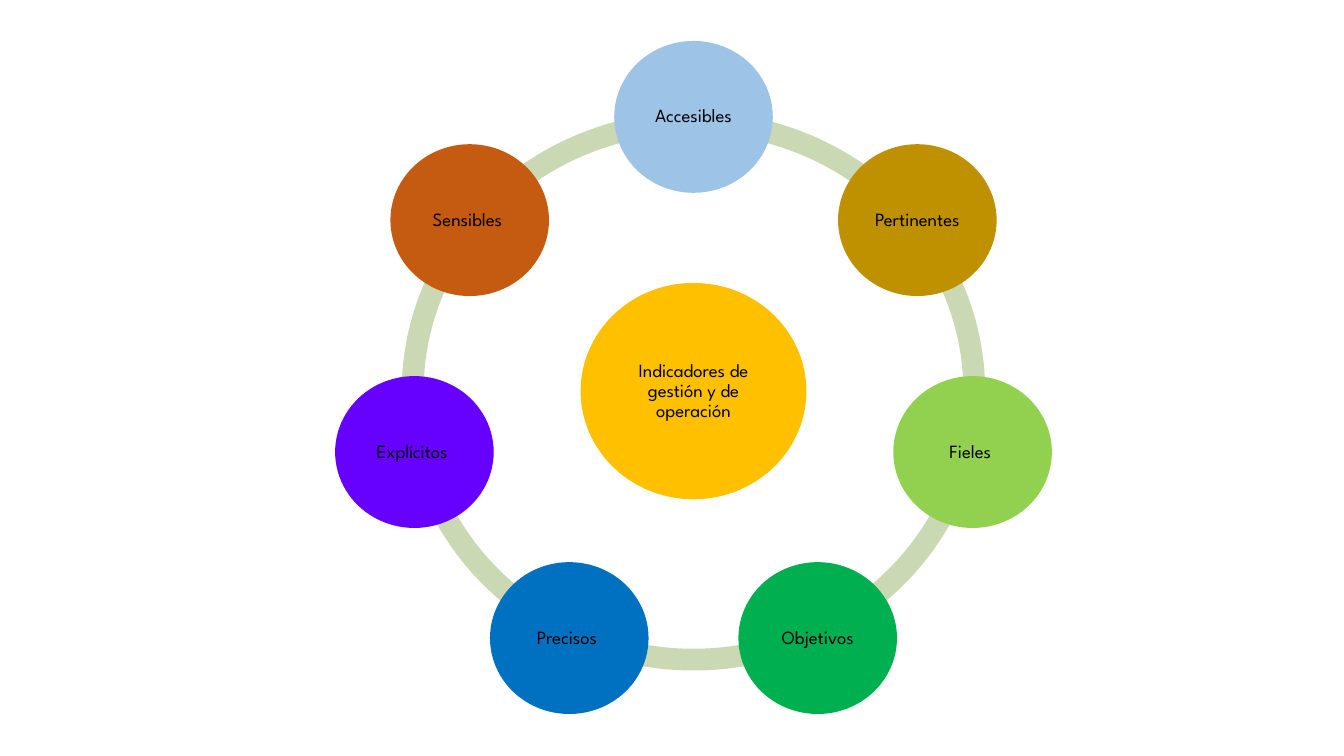
from math import cos, radians, sin

from pptx import Presentation
from pptx.dml.color import RGBColor
from pptx.enum.shapes import MSO_SHAPE as Shape
from pptx.enum.text import MSO_ANCHOR as Anchor, PP_ALIGN as Align
from pptx.util import Inches, Pt

FONT = "League Spartan"
BLACK = RGBColor(0x00, 0x00, 0x00)
SAGE = RGBColor(0xCA, 0xD9, 0xB3)
AMBER = RGBColor(0xFF, 0xC0, 0x00)
SKY = RGBColor(0x9D, 0xC3, 0xE6)
OCHRE = RGBColor(0xBF, 0x90, 0x00)
LIME = RGBColor(0x92, 0xD0, 0x50)
GREEN = RGBColor(0x00, 0xB0, 0x50)
BLUE = RGBColor(0x00, 0x70, 0xC0)
VIOLET = RGBColor(0x66, 0x00, 0xFF)
RUST = RGBColor(0xC5, 0x5A, 0x11)

# Qualities, clockwise from the top
QUALITIES = [
    ("Accesibles", SKY),
    ("Pertinentes", OCHRE),
    ("Fieles ", LIME),
    ("Objetivos", GREEN),
    ("Precisos ", BLUE),
    ("Explícitos ", VIOLET),
    ("Sensibles ", RUST),
]
STEP = 360 / len(QUALITIES)
CENTER_X, CENTER_Y = 5.16, 2.91
ORBIT_X, ORBIT_Y = 2.13, 2.04

# Widescreen 16:9 slide
prs = Presentation()
prs.slide_width = Inches(10)
prs.slide_height = prs.slide_width * 9 // 16
slide = prs.slides.add_slide(prs.slide_layouts[6])


def add_centered(kind, x, y, width, height, color):
    shape = slide.shapes.add_shape(
        kind, Inches(x - width / 2), Inches(y - height / 2),
        Inches(width), Inches(height))
    shape.shadow.inherit = False
    shape.fill.solid()
    shape.fill.fore_color.rgb = color
    shape.line.fill.background()
    return shape


def add_circle(label, x, y, width, height, color):
    frame = add_centered(Shape.OVAL, x, y, width, height, color).text_frame
    frame.word_wrap = True
    frame.vertical_anchor = Anchor.MIDDLE
    frame.margin_left = frame.margin_right = Inches(0.02)
    frame.margin_top = frame.margin_bottom = Inches(0.02)
    paragraph = frame.paragraphs[0]
    paragraph.alignment = Align.CENTER
    paragraph.line_spacing = 0.89
    run = paragraph.add_run()
    run.text = label
    run.font.name = FONT
    run.font.size = Pt(10)
    run.font.color.rgb = BLACK


# Ring: one arc between each pair of neighbours
for index in range(len(QUALITIES)):
    arc = add_centered(Shape.BLOCK_ARC, CENTER_X, CENTER_Y, 4.34, 4.16, SAGE)
    start = 270 + index * STEP
    # Angles are stored in 60000ths of a degree, adjustments in 100000ths
    arc.adjustments[0] = start % 360 * 0.6
    arc.adjustments[1] = (start + STEP) % 360 * 0.6
    arc.adjustments[2] = 0.039

# Hub
add_circle("Indicadores de gestión y de operación",
           CENTER_X, CENTER_Y, 1.68, 1.61, AMBER)

# Qualities around the hub
for index, (quality, color) in enumerate(QUALITIES):
    angle = radians(index * STEP)
    add_circle(quality, CENTER_X + ORBIT_X * sin(angle),
               CENTER_Y - ORBIT_Y * cos(angle), 1.18, 1.13, color)

prs.save("out.pptx")
